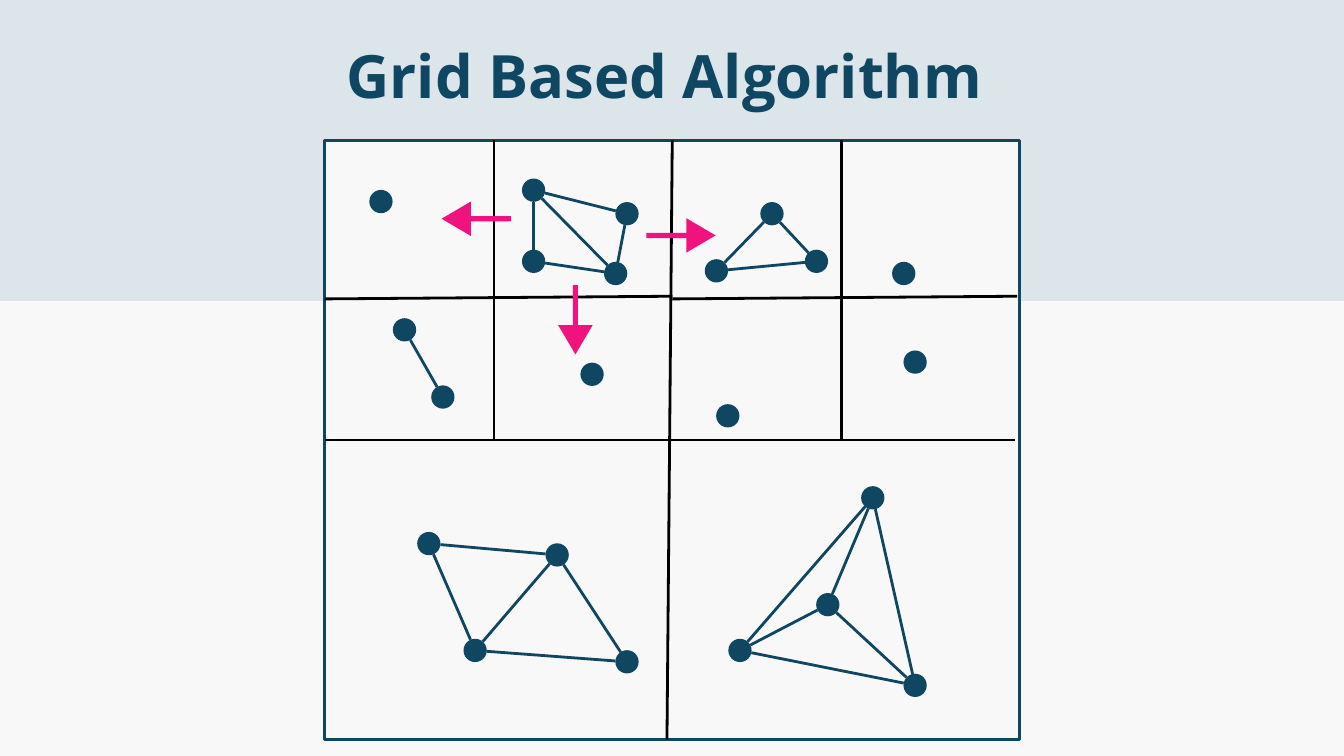
from math import hypot

from lxml.etree import SubElement
from pptx import Presentation
from pptx.dml.color import RGBColor
from pptx.enum.shapes import MSO_CONNECTOR, MSO_SHAPE
from pptx.enum.text import MSO_AUTO_SIZE, PP_ALIGN
from pptx.oxml.ns import qn
from pptx.util import Cm, Pt

SLIDE_WIDTH, SLIDE_HEIGHT = 50.8, 28.58
BAND_HEIGHT = 11.38

PANEL_LEFT, PANEL_TOP = 12.27, 5.31
PANEL_WIDTH, PANEL_HEIGHT = 26.28, 22.65
PANEL_RIGHT = PANEL_LEFT + PANEL_WIDTH
PANEL_BOTTOM = PANEL_TOP + PANEL_HEIGHT
PANEL_MIDDLE = PANEL_LEFT + PANEL_WIDTH / 2
PANEL_HALFWAY = PANEL_TOP + PANEL_HEIGHT / 2
COLUMN_OFFSET = 6.4
FIRST_ROW = 11.25
ROW_TILT = 0.05

CLUSTERS = {
    "top quadrilateral": (
        {"a": (20.17, 7.19), "b": (23.7, 8.08), "c": (23.27, 10.34), "d": (20.17, 9.88)},
        ["ab", "bc", "cd", "da", "ac"],
    ),
    "top triangle": (
        {"a": (29.18, 8.08), "b": (30.86, 9.88), "c": (27.08, 10.24)},
        ["ab", "bc", "ca"],
    ),
    "left pair": (
        {"a": (15.29, 12.47), "b": (16.74, 15.01)},
        ["ab"],
    ),
    "bottom quadrilateral": (
        {"a": (16.21, 20.55), "b": (21.06, 20.98), "c": (23.7, 25.02), "d": (17.96, 24.59)},
        ["ab", "bc", "cd", "da", "bd"],
    ),
    "bottom triangle with center": (
        {"a": (32.99, 18.82), "b": (34.59, 25.91), "c": (27.97, 24.59), "m": (31.29, 22.86)},
        ["ab", "bc", "ca", "am", "bm", "cm"],
    ),
    "single points": (
        {
            "first row left": (14.4, 7.62),
            "first row right": (34.16, 10.34),
            "second row left": (22.38, 14.15),
            "second row middle": (27.51, 15.72),
            "second row right": (34.59, 13.69),
        },
        [],
    ),
}

ARROW_ROTATION = {"down": 0, "left": 90, "right": 270}
SEARCH_ARROWS = {"down": (21.75, 12.09), "left": (18, 8.27), "right": (25.74, 8.9)}


def color(value):
    return RGBColor.from_string(value)


class GridSlide:
    navy = "0F4662"
    pink = "F0137D"
    black = "000000"
    pale_blue = "DBE5EA"
    off_white = "F8F8F8"
    font_name = "Open Sans"
    line_width = Pt(3)
    dot_size = 0.88
    arrow_width, arrow_height = 1.3, 2.62

    def __init__(self, slide):
        self.slide = slide

    def background(self):
        fill = self.slide.background.fill
        fill.solid()
        fill.fore_color.rgb = color(self.off_white)

    def shape(self, kind, left, top, width, height, fill, outline=None):
        shape = self.slide.shapes.add_shape(
            kind, Cm(left), Cm(top), Cm(width), Cm(height)
        )
        shape.shadow.inherit = False
        shape.fill.solid()
        shape.fill.fore_color.rgb = color(fill)
        if outline:
            shape.line.color.rgb = color(outline)
            shape.line.width = self.line_width
        else:
            shape.line.fill.background()
        return shape

    def centered_shape(self, kind, center, width, height, fill):
        x, y = center
        return self.shape(kind, x - width / 2, y - height / 2, width, height, fill)

    def line(self, start, end, stroke):
        connector = self.slide.shapes.add_connector(
            MSO_CONNECTOR.STRAIGHT, *(Cm(length) for length in (*start, *end))
        )
        connector.line.color.rgb = color(stroke)
        connector.line.width = self.line_width
        SubElement(connector._element.spPr, qn("a:effectLst"))

    def divider(self, start, end):
        self.line(start, end, self.black)

    def dot(self, center):
        self.centered_shape(
            MSO_SHAPE.OVAL, center, self.dot_size, self.dot_size, self.navy
        )

    def edge(self, first, second):
        across, down = second[0] - first[0], second[1] - first[1]
        trim = self.dot_size / 2 / hypot(across, down)
        start = first[0] + across * trim, first[1] + down * trim
        end = second[0] - across * trim, second[1] - down * trim
        self.line(start, end, self.navy)

    def cluster(self, points, edges):
        for center in points.values():
            self.dot(center)
        for first, second in edges:
            self.edge(points[first], points[second])

    def arrow(self, direction, center):
        shape = self.centered_shape(
            MSO_SHAPE.DOWN_ARROW, center, self.arrow_width, self.arrow_height, self.pink
        )
        shape.adjustments[0] = 0.15
        shape.adjustments[1] = 0.85
        shape.rotation = ARROW_ROTATION[direction]

    def title(self, text, left, top, width, height):
        box = self.slide.shapes.add_textbox(Cm(left), Cm(top), Cm(width), Cm(height))
        frame = box.text_frame
        frame.word_wrap = True
        frame.auto_size = MSO_AUTO_SIZE.SHAPE_TO_FIT_TEXT
        frame.margin_left = frame.margin_right = Cm(0)
        frame.margin_top = frame.margin_bottom = Cm(0)
        paragraph = frame.paragraphs[0]
        paragraph.alignment = PP_ALIGN.CENTER
        paragraph.line_spacing = Pt(89.6)
        run = paragraph.add_run()
        run.text = text
        run.font.name = self.font_name
        run.font.size = Pt(64)
        run.font.bold = True
        run.font.color.rgb = color(self.navy)


def draw_panel(grid):
    grid.shape(
        MSO_SHAPE.RECTANGLE, PANEL_LEFT, PANEL_TOP, PANEL_WIDTH, PANEL_HEIGHT,
        grid.off_white, grid.navy,
    )
    for left, right in ((PANEL_LEFT, PANEL_MIDDLE), (PANEL_MIDDLE, PANEL_RIGHT - 0.1)):
        grid.divider((left, FIRST_ROW + ROW_TILT), (right, FIRST_ROW - ROW_TILT))
    grid.divider((PANEL_LEFT, PANEL_HALFWAY), (PANEL_RIGHT - 0.2, PANEL_HALFWAY))
    grid.divider((PANEL_MIDDLE, PANEL_TOP), (PANEL_MIDDLE - 0.2, PANEL_BOTTOM))
    for column in (PANEL_LEFT + COLUMN_OFFSET, PANEL_MIDDLE + COLUMN_OFFSET):
        grid.divider((column, PANEL_TOP), (column, PANEL_HALFWAY))


def main():
    presentation = Presentation()
    presentation.slide_width = Cm(SLIDE_WIDTH)
    presentation.slide_height = Cm(SLIDE_HEIGHT)
    grid = GridSlide(presentation.slides.add_slide(presentation.slide_layouts[6]))

    grid.background()
    grid.shape(MSO_SHAPE.RECTANGLE, 0, 0, SLIDE_WIDTH, BAND_HEIGHT, grid.pale_blue)
    draw_panel(grid)
    for points, edges in CLUSTERS.values():
        grid.cluster(points, edges)
    for direction, center in SEARCH_ARROWS.items():
        grid.arrow(direction, center)
    grid.title("Grid Based Algorithm", 11, 1.02, 28.22, 3.05)

    presentation.save("out.pptx")


if __name__ == "__main__":
    main()
